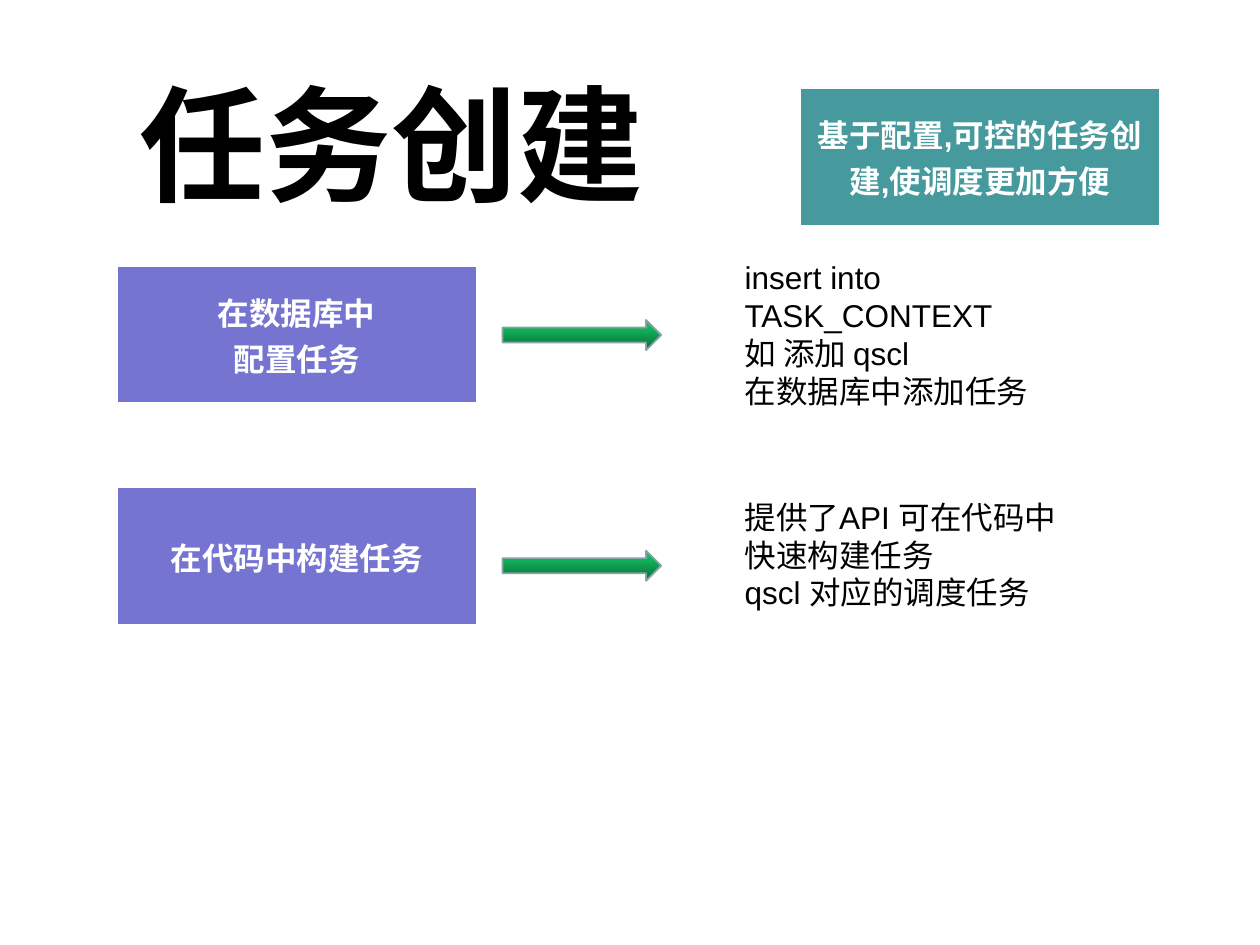
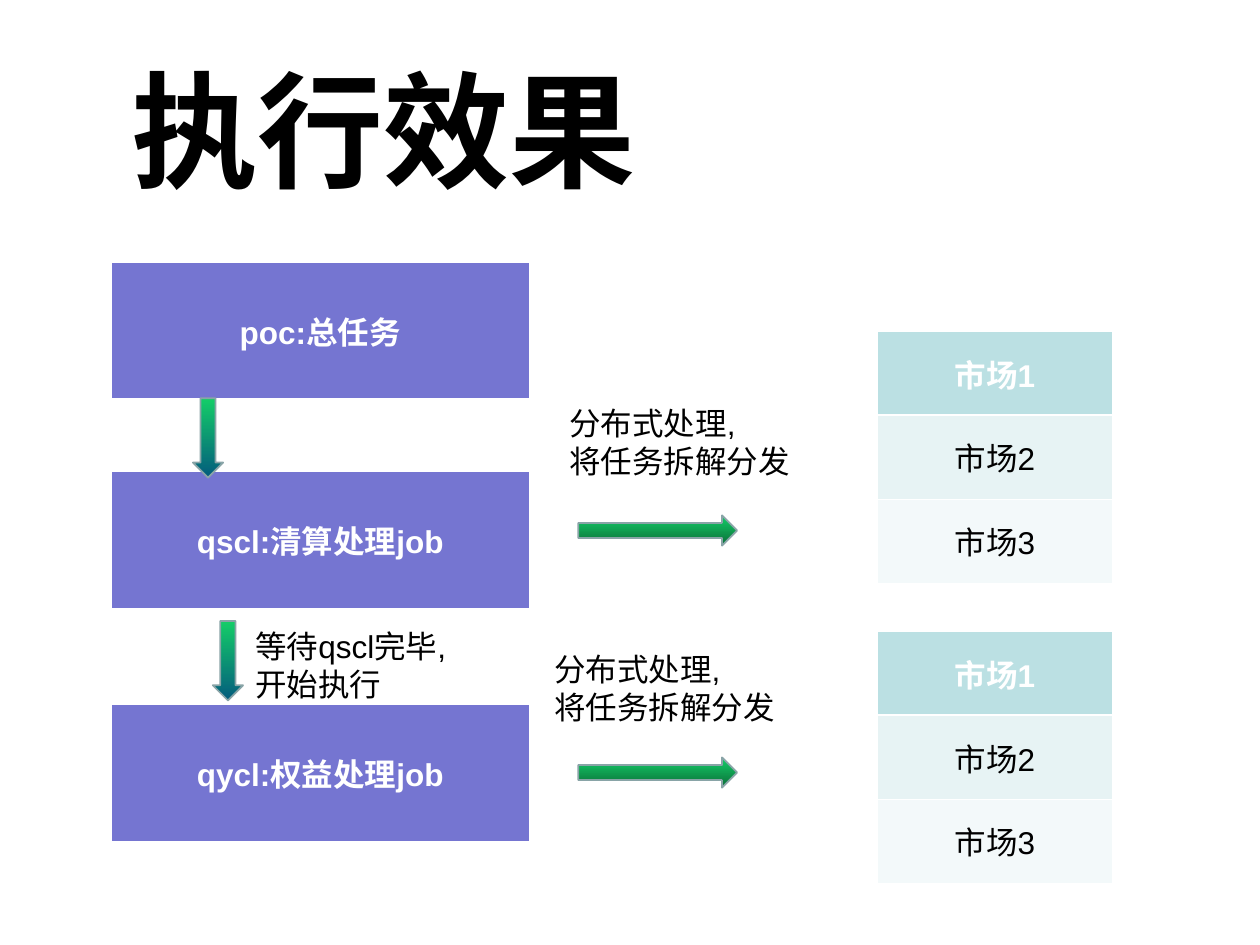
from dataclasses import dataclass

from lxml import etree
from pptx import Presentation
from pptx.dml.color import RGBColor
from pptx.enum.shapes import MSO_SHAPE
from pptx.enum.text import MSO_ANCHOR, MSO_AUTO_SIZE, PP_ALIGN
from pptx.oxml.ns import qn
from pptx.util import Cm, Pt

LEFT, CENTER = PP_ALIGN.LEFT, PP_ALIGN.CENTER
MIDDLE = MSO_ANCHOR.MIDDLE
GROW = MSO_AUTO_SIZE.SHAPE_TO_FIT_TEXT
RIGHT, DOWN = MSO_SHAPE.RIGHT_ARROW, MSO_SHAPE.DOWN_ARROW


@dataclass(frozen=True)
class Theme:
    font: str = "Arial"
    title: int = 72
    body: int = 18
    black: str = "000000"
    white: str = "FFFFFF"
    violet: str = "7575D1"
    teal: str = "46999D"
    market: tuple = ("BBE0E3", "E7F3F4", "F3F9FA")
    across: tuple = ("14CD68", "0B6E38")
    down: tuple = ("14CD68", "035C7D")
    edge: str = "89A4A7"
    thin: float = 0.45
    thick: float = 1.47


theme = Theme()


def write(frame, text, size, color, bold, align):
    frame.text = text
    frame.word_wrap = True
    for para in frame.paragraphs:
        para.alignment = align
        for run in para.runs:
            run.font.name = theme.font
            run.font.size = Pt(size)
            run.font.bold = bold
            run.font.color.rgb = RGBColor.from_string(color)


def add_grid(slide, left, top, width, height, rows):
    """Add a one-column table; rows holds (text, fill), the first one is the head."""
    frame = slide.shapes.add_table(
        len(rows), 1, Cm(left), Cm(top), Cm(width), Cm(height * len(rows)))
    table = frame.table
    table.first_row = table.horz_banding = False
    for num, (text, fill) in enumerate(rows):
        table.rows[num].height = Cm(height)
        cell = table.cell(num, 0)
        head = num == 0
        write(cell.text_frame, text, theme.body,
              theme.white if head else theme.black, head, CENTER)
        cell.vertical_anchor = MIDDLE
        cell.fill.solid()
        cell.fill.fore_color.rgb = RGBColor.from_string(fill)
        props = cell._tc.get_or_add_tcPr()
        for pos, side in enumerate("LRTB"):
            heavy = (num, side) in ((0, "B"), (1, "T"))
            line = etree.Element(qn(f"a:ln{side}"))
            line.set("w", str(Pt(theme.thick if heavy else theme.thin)))
            paint = etree.SubElement(line, qn("a:solidFill"))
            etree.SubElement(paint, qn("a:srgbClr")).set("val", theme.white)
            props.insert(pos, line)


deck = Presentation()
deck.slide_width, deck.slide_height = Cm(25.4), Cm(19.05)
blank = deck.slide_layouts[6]
build = deck.slides.add_slide(blank)
effect = deck.slides.add_slide(blank)

# Titles and notes
title = (theme.title, theme.black, True, CENTER)
note = (theme.body, theme.black, False, LEFT)
texts = [
    (build, 1.47, 1.22, 12.85, 3.3, "任务创建", title),
    (build, 14.76, 5.08, 7.06, 3.3,
     "insert into TASK_CONTEXT\n如 添加 qscl\n在数据库中添加任务", note),
    (build, 14.76, 9.91, 7.06, 3.3,
     "提供了API 可在代码中\n快速构建任务\nqscl 对应的调度任务", note),
    (effect, 1.07, 0.94, 13.31, 3.3, "执行效果", title),
    (effect, 11.23, 8.03, 7.06, 1.78, "分布式处理,\n将任务拆解分发", note),
    (effect, 10.92, 12.98, 7.06, 1.78, "分布式处理,\n将任务拆解分发", note),
    (effect, 4.9, 12.52, 7.06, 1.78, "等待qscl完毕,\n开始执行", note),
]
for slide, left, top, width, height, text, style in texts:
    box = slide.shapes.add_textbox(Cm(left), Cm(top), Cm(width), Cm(height))
    write(box.text_frame, text, *style)
    box.text_frame.auto_size = GROW

# Task boxes
tasks = [
    (build, 2.36, 5.36, 7.24, "在数据库中\n配置任务", theme.violet),
    (build, 2.36, 9.83, 7.24, "在代码中构建任务", theme.violet),
    (build, 16.13, 1.78, 7.24, "基于配置,可控的任务创建,使调度更加方便", theme.teal),
    (effect, 2.24, 5.28, 8.43, "poc:总任务", theme.violet),
    (effect, 2.24, 9.5, 8.43, "qscl:清算处理job", theme.violet),
    (effect, 2.24, 14.2, 8.43, "qycl:权益处理job", theme.violet),
]
for slide, left, top, width, text, fill in tasks:
    add_grid(slide, left, top, width, 2.77, [(text, fill)])

# Market tables
markets = [(f"市场{num}", fill) for num, fill in enumerate(theme.market, 1)]
for top in (6.68, 12.73):
    add_grid(effect, 17.68, top, 4.75, 1.69, markets)

# Arrows
arrows = [
    (build, RIGHT, 10.13, 6.45),
    (build, RIGHT, 10.13, 11.1),
    (effect, RIGHT, 11.66, 10.39),
    (effect, RIGHT, 11.66, 15.27),
    (effect, DOWN, 3.89, 8.03),
    (effect, DOWN, 4.29, 12.52),
]
looks = {RIGHT: (3.2, 0.61, theme.across), DOWN: (0.61, 1.6, theme.down)}
for slide, kind, left, top in arrows:
    width, height, shades = looks[kind]
    arrow = slide.shapes.add_shape(kind, Cm(left), Cm(top), Cm(width), Cm(height))
    arrow.shadow.inherit = False
    arrow.fill.gradient()
    arrow.fill.gradient_angle = 270
    for stop, shade, place in zip(arrow.fill.gradient_stops, shades, (0, 1)):
        stop.color.rgb = RGBColor.from_string(shade)
        stop.position = place
    arrow.line.color.rgb = RGBColor.from_string(theme.edge)
    arrow.line.width = Pt(1)

deck.save("out.pptx")
